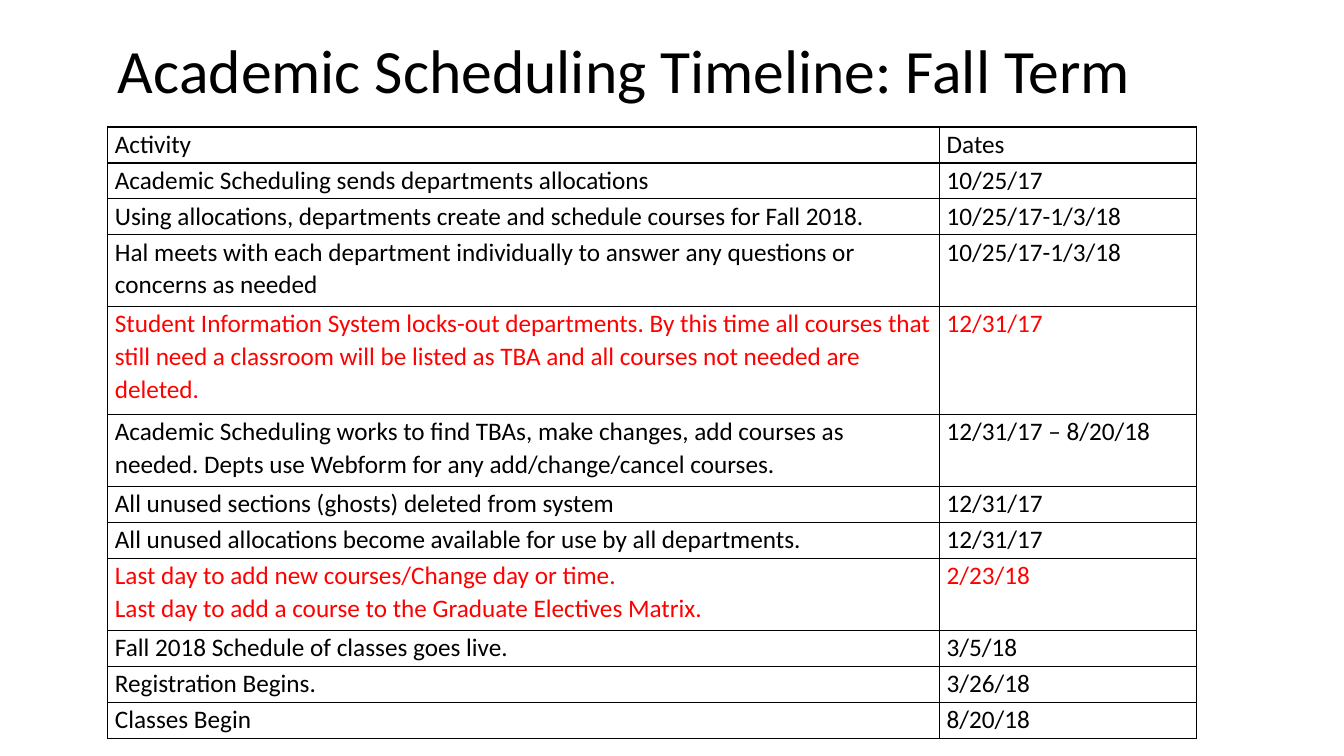
from lxml import etree
from pptx import Presentation
from pptx.dml.color import RGBColor
from pptx.enum.text import MSO_ANCHOR, PP_ALIGN
from pptx.oxml.ns import qn
from pptx.util import Inches, Pt

MIDDLE = MSO_ANCHOR.MIDDLE
TOP = MSO_ANCHOR.TOP
LEFT = PP_ALIGN.LEFT

BLACK = RGBColor(0x00, 0x00, 0x00)
RED = RGBColor(0xFF, 0x00, 0x00)
FONT = "Calibri"

LEFT_EDGE = Inches(1.07)
LINE_HEIGHT = Inches(6.07) / 17
COLUMN_WIDTHS = (Inches(8.25), Inches(2.55))

TIMELINE = [
    ("Activity", "Dates", 1, BLACK),
    ("Academic Scheduling sends departments allocations", "10/25/17", 1, BLACK),
    ("Using allocations, departments create and schedule courses for Fall 2018.",
     "10/25/17-1/3/18", 1, BLACK),
    ("Hal meets with each department individually to answer any questions or "
     "concerns as needed", "10/25/17-1/3/18", 2, BLACK),
    ("Student Information System locks-out departments. By this time all courses "
     "that still need a classroom will be listed as TBA and all courses not needed "
     "are deleted.", "12/31/17", 3, RED),
    ("Academic Scheduling works to find TBAs, make changes, add courses as needed. "
     "Depts use Webform for any add/change/cancel courses.",
     "12/31/17 – 8/20/18", 2, BLACK),
    ("All unused sections (ghosts) deleted from system", "12/31/17", 1, BLACK),
    ("All unused allocations become available for use by all departments.",
     "12/31/17", 1, BLACK),
    ("Last day to add new courses/Change day or time.\n"
     "Last day to add a course to the Graduate Electives Matrix.",
     "2/23/18", 2, RED),
    ("Fall 2018 Schedule of classes goes live.", "3/5/18", 1, BLACK),
    ("Registration Begins.", "3/26/18", 1, BLACK),
    ("Classes Begin", "8/20/18", 1, BLACK),
]


def format_text(tf, size, color, spacing):
    for p in tf.paragraphs:
        p.alignment = LEFT
        p.line_spacing = spacing
        for r in p.runs:
            r.font.name = FONT
            r.font.size = Pt(size)
            r.font.color.rgb = color


def add_title(s, text):
    title = s.shapes.title
    title.left, title.top = LEFT_EDGE, 0
    title.width, title.height = Inches(11.5), Inches(1.45)
    tf = title.text_frame
    tf.text = text
    tf.vertical_anchor = MIDDLE
    format_text(tf, 44, BLACK, 0.9)


def set_borders(cell):
    tc_pr = cell._tc.get_or_add_tcPr()
    for side in ("a:lnL", "a:lnR", "a:lnT", "a:lnB"):
        line = etree.SubElement(tc_pr, qn(side), w=str(Pt(1)))
        fill = etree.SubElement(line, qn("a:solidFill"))
        etree.SubElement(fill, qn("a:srgbClr"), val=str(BLACK))


def fill_cell(cell, text, color):
    cell.margin_left = cell.margin_right = Inches(0.07)
    cell.margin_top = cell.margin_bottom = 0
    cell.vertical_anchor = TOP
    set_borders(cell)
    cell.fill.background()
    cell.text_frame.text = text
    format_text(cell.text_frame, 18, color, 1.07)


def add_timeline(s):
    frame = s.shapes.add_table(len(TIMELINE), len(COLUMN_WIDTHS), LEFT_EDGE,
                               Inches(1.26), sum(COLUMN_WIDTHS), Inches(6.07))
    table = frame.table
    table.first_row = False
    table.horz_banding = False
    for column, width in zip(table.columns, COLUMN_WIDTHS):
        column.width = width
    for row, (activity, dates, lines, color) in zip(table.rows, TIMELINE):
        row.height = int(LINE_HEIGHT * lines)
        for cell, text in zip(row.cells, (activity, dates)):
            fill_cell(cell, text, color)


def main():
    prs = Presentation()
    prs.slide_width, prs.slide_height = Inches(13.33), Inches(7.5)
    s = prs.slides.add_slide(prs.slide_layouts[5])
    add_timeline(s)
    add_title(s, "Academic Scheduling Timeline: Fall Term")
    prs.save("out.pptx")


if __name__ == "__main__":
    main()
